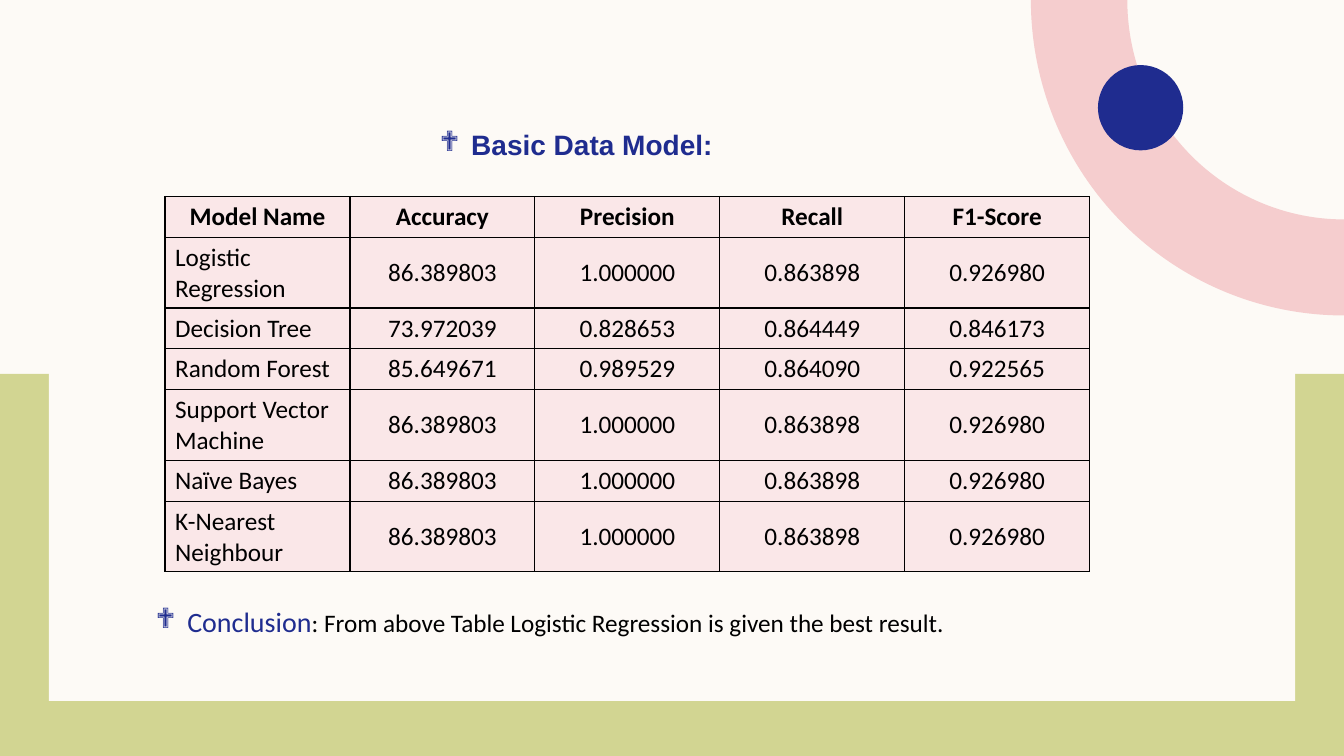
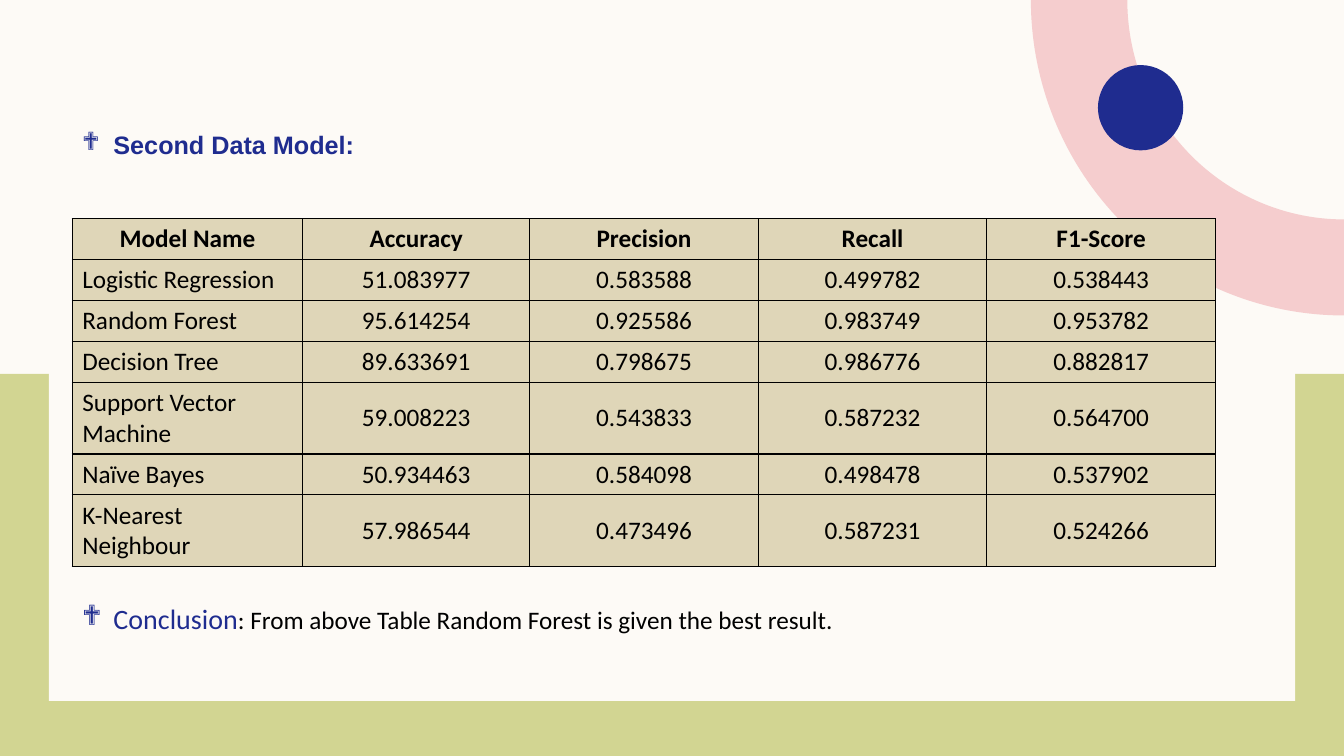
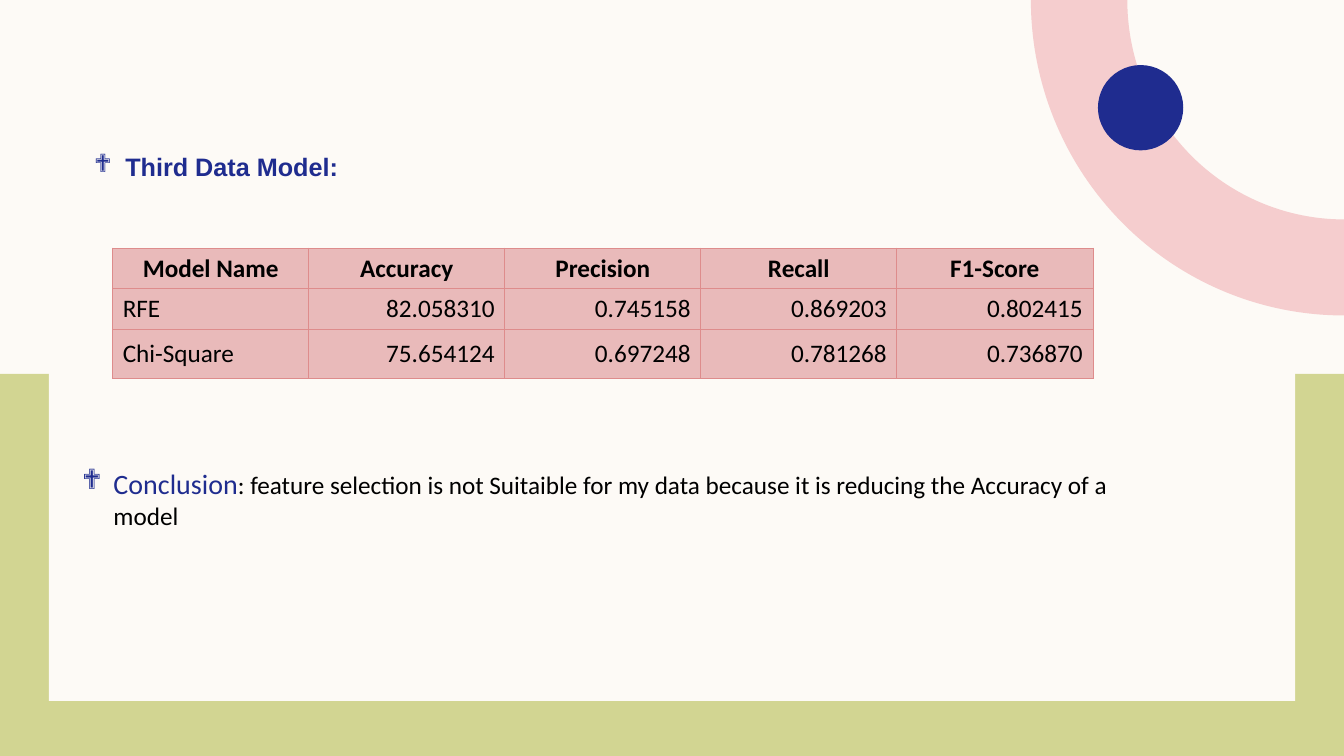
from dataclasses import dataclass

from lxml.etree import SubElement
from pptx import Presentation
from pptx.dml.color import RGBColor
from pptx.enum.shapes import MSO_SHAPE
from pptx.enum.text import MSO_ANCHOR, MSO_AUTO_SIZE, PP_ALIGN
from pptx.oxml.ns import qn
from pptx.shapes.base import BaseShape
from pptx.slide import Slide, SlideLayout
from pptx.table import _Cell
from pptx.text.text import _Paragraph, _Run
from pptx.util import Cm, Pt


@dataclass(frozen=True)
class Theme:
    page: str = "FDFAF6"
    olive: str = "D2D592"
    pink: str = "F5CDCE"
    navy: str = "1F2C8F"
    black: str = "000000"
    blush: str = "FAE7E8"
    sand: str = "DFD6B8"
    rose: str = "E9BABA"
    rose_line: str = "DE8C8C"
    title_font: str = "Arial"
    body_font: str = "Calibri"
    bullet_font: str = "Wingdings"
    body_size: int = 18
    large_size: int = 20


@dataclass(frozen=True)
class Area:
    left: float
    top: float
    width: float
    height: float

    def lengths(self) -> tuple[Cm, Cm, Cm, Cm]:
        return Cm(self.left), Cm(self.top), Cm(self.width), Cm(self.height)


@dataclass(frozen=True)
class Radii:
    across: float
    down: float


@dataclass(frozen=True)
class Span:
    text: str
    size: int
    font: str
    color: str
    bold: bool = False


@dataclass(frozen=True)
class BulletLine:
    area: Area
    spans: tuple[Span, ...]
    align: PP_ALIGN = PP_ALIGN.LEFT


@dataclass(frozen=True)
class ScoreTable:
    left: float
    top: float
    widths: tuple[float, ...]
    heights: tuple[float, ...]
    rows: tuple[tuple[str, ...], ...]
    fill: str
    line: str
    line_width: float = 1
    number_align: PP_ALIGN = PP_ALIGN.CENTER


@dataclass(frozen=True)
class ModelPage:
    title: BulletLine
    scores: ScoreTable
    conclusion: BulletLine


THEME = Theme()
PAGE_WIDTH, PAGE_HEIGHT = 33.87, 19.05
BULLET_INDENT = 0.79
QUARTER_TURN = 90 * 60000
HEADER = ("Model Name", "Accuracy", "Precision", "Recall", "F1-Score")


def title_line(text: str, area: Area, size: int = THEME.body_size,
               align: PP_ALIGN = PP_ALIGN.LEFT) -> BulletLine:
    return BulletLine(area, (Span(text, size, THEME.title_font, THEME.navy, True),), align)


def conclusion_line(text: str, area: Area) -> BulletLine:
    return BulletLine(area, (
        Span("Conclusion", THEME.large_size, THEME.body_font, THEME.navy),
        Span(f": {text}", THEME.body_size, THEME.body_font, THEME.black),
    ))


PAGES = (
    ModelPage(
        title_line("Basic Data Model:", Area(3.68, 3.1, 21.69, 1.13),
                   THEME.large_size, PP_ALIGN.CENTER),
        ScoreTable(
            4.16, 4.95, (4.66,) * 5, (1.03, 1.78, 1.03, 1.03, 1.78, 1.03, 1.78),
            (
                ("Logistic Regression", "86.389803", "1.000000", "0.863898", "0.926980"),
                ("Decision Tree", "73.972039", "0.828653", "0.864449", "0.846173"),
                ("Random Forest", "85.649671", "0.989529", "0.864090", "0.922565"),
                ("Support Vector Machine", "86.389803", "1.000000", "0.863898", "0.926980"),
                ("Naïve Bayes", "86.389803", "1.000000", "0.863898", "0.926980"),
                ("K-Nearest Neighbour", "86.389803", "1.000000", "0.863898", "0.926980"),
            ),
            THEME.blush, THEME.black,
        ),
        conclusion_line("From above Table Logistic Regression is given the best result.",
                        Area(3.68, 15.11, 22.12, 1.13)),
    ),
    ModelPage(
        title_line("Second Data Model:", Area(1.82, 3.14, 16.97, 1.02)),
        ScoreTable(
            1.82, 5.51, (5.81, 5.72, 5.76, 5.76, 5.76),
            (1.03, 1.03, 1.03, 1.03, 1.81, 1.03, 1.81),
            (
                ("Logistic Regression", "51.083977", "0.583588", "0.499782", "0.538443"),
                ("Random Forest", "95.614254", "0.925586", "0.983749", "0.953782"),
                ("Decision Tree", "89.633691", "0.798675", "0.986776", "0.882817"),
                ("Support Vector Machine", "59.008223", "0.543833", "0.587232", "0.564700"),
                ("Naïve Bayes", "50.934463", "0.584098", "0.498478", "0.537902"),
                ("K-Nearest Neighbour", "57.986544", "0.473496", "0.587231", "0.524266"),
            ),
            THEME.sand, THEME.black,
        ),
        conclusion_line("From above Table Random Forest is given the best result.",
                        Area(1.82, 15.04, 21.64, 1.13)),
    ),
    ModelPage(
        title_line("Third Data Model:", Area(2.12, 3.69, 16.97, 1.02)),
        ScoreTable(
            2.84, 6.25, (4.94,) * 5, (1.02, 1.02, 1.24),
            (
                ("RFE", "82.058310", "0.745158", "0.869203", "0.802415"),
                ("Chi-Square", "75.654124", "0.697248", "0.781268", "0.736870"),
            ),
            THEME.rose, THEME.rose_line, 0.5, PP_ALIGN.RIGHT,
        ),
        conclusion_line("feature selection is not Suitaible for my data because "
                        "it is reducing the Accuracy of a model",
                        Area(1.82, 11.63, 27.18, 1.88)),
    ),
)


def paint(shape: BaseShape, color: str) -> None:
    shape.shadow.inherit = False
    shape.fill.solid()
    shape.fill.fore_color.rgb = RGBColor.from_string(color)
    shape.line.fill.background()


def add_block(page: Slide, kind: MSO_SHAPE, area: Area, color: str) -> None:
    paint(page.shapes.add_shape(kind, *area.lengths()), color)


def bend_segment(shape: BaseShape, index: int, radii: Radii, start: int, sweep: int) -> None:
    segment = list(shape.element.iter(qn("a:lnTo")))[index]
    arc = SubElement(segment.getparent(), qn("a:arcTo"))
    arc.set("wR", str(Cm(radii.across)))
    arc.set("hR", str(Cm(radii.down)))
    arc.set("stAng", str(start))
    arc.set("swAng", str(sweep))
    segment.getparent().replace(segment, arc)


def add_corner_band(page: Slide, outer: Radii, inner: Radii, color: str) -> None:
    points = [
        (Cm(PAGE_WIDTH - outer.across), Cm(0)),
        (Cm(PAGE_WIDTH), Cm(outer.down)),
        (Cm(PAGE_WIDTH), Cm(inner.down)),
        (Cm(PAGE_WIDTH - inner.across), Cm(0)),
    ]
    builder = page.shapes.build_freeform(*points[0])
    builder.add_line_segments(points[1:], close=True)
    band = builder.convert_to_shape()
    if inner.across:
        bend_segment(band, 2, inner, QUARTER_TURN, QUARTER_TURN)
    bend_segment(band, 0, outer, 2 * QUARTER_TURN, -QUARTER_TURN)
    paint(band, color)


def decorate_layout(layout: SlideLayout, page: Slide) -> None:
    for placeholder in list(layout.placeholders):
        layout.shapes.element.remove(placeholder.element)
    layout.background.fill.solid()
    layout.background.fill.fore_color.rgb = RGBColor.from_string(THEME.page)
    add_block(page, MSO_SHAPE.RECTANGLE, Area(0, 9.42, PAGE_WIDTH, 9.63), THEME.olive)
    add_block(page, MSO_SHAPE.RECTANGLE, Area(1.23, 0.91, 31.41, 16.75), THEME.page)
    add_corner_band(page, Radii(7.89, 7.95), Radii(5.46, 5.53), THEME.pink)
    add_corner_band(page, Radii(2.78, 2.82), Radii(0, 0), THEME.page)
    add_block(page, MSO_SHAPE.OVAL, Area(27.67, 1.64, 2.15, 2.15), THEME.navy)
    for shape in list(page.shapes):
        layout.shapes.element.append(shape.element)


def format_run(run: _Run, span: Span) -> None:
    run.font.size = Pt(span.size)
    run.font.name = span.font
    run.font.bold = span.bold
    run.font.color.rgb = RGBColor.from_string(span.color)


def add_bullet(para: _Paragraph) -> None:
    properties = para._p.get_or_add_pPr()
    properties.set("marL", str(Cm(BULLET_INDENT)))
    properties.set("indent", str(-Cm(BULLET_INDENT)))
    SubElement(properties, qn("a:buFont"), typeface=THEME.bullet_font)
    SubElement(properties, qn("a:buChar"), char="❖")


def add_bullet_line(page: Slide, line: BulletLine) -> None:
    box = page.shapes.add_textbox(*line.area.lengths())
    box.text_frame.word_wrap = True
    box.text_frame.auto_size = MSO_AUTO_SIZE.SHAPE_TO_FIT_TEXT
    para = box.text_frame.paragraphs[0]
    para.alignment = line.align
    add_bullet(para)
    for span in line.spans:
        run = para.add_run()
        run.text = span.text
        format_run(run, span)


def outline_cell(cell: _Cell, color: str, width: float) -> None:
    properties = cell._tc.get_or_add_tcPr()
    for side in ("lnL", "lnR", "lnT", "lnB"):
        border = SubElement(properties, qn(f"a:{side}"), w=str(Pt(width)))
        fill = SubElement(border, qn("a:solidFill"))
        SubElement(fill, qn("a:srgbClr"), val=color)


def fill_cell(cell: _Cell, text: str, align: PP_ALIGN, bold: bool, scores: ScoreTable) -> None:
    outline_cell(cell, scores.line, scores.line_width)
    cell.fill.solid()
    cell.fill.fore_color.rgb = RGBColor.from_string(scores.fill)
    cell.vertical_anchor = MSO_ANCHOR.MIDDLE
    para = cell.text_frame.paragraphs[0]
    para.text = text
    para.alignment = align
    format_run(para.runs[0], Span(text, THEME.body_size, THEME.body_font, THEME.black, bold))


def add_scores(page: Slide, scores: ScoreTable) -> None:
    area = Area(scores.left, scores.top, sum(scores.widths), sum(scores.heights))
    rows = (HEADER, *scores.rows)
    table = page.shapes.add_table(len(rows), len(HEADER), *area.lengths()).table
    table.first_row = False
    table.horz_banding = False
    for column, width in zip(table.columns, scores.widths):
        column.width = Cm(width)
    for row, height in zip(table.rows, scores.heights):
        row.height = Cm(height)
    for row_index, texts in enumerate(rows):
        for column_index, text in enumerate(texts):
            is_header = row_index == 0
            if is_header:
                align = PP_ALIGN.CENTER
            else:
                align = scores.number_align if column_index else PP_ALIGN.LEFT
            fill_cell(table.cell(row_index, column_index), text, align, is_header, scores)


def main() -> None:
    deck = Presentation()
    deck.slide_width = Cm(PAGE_WIDTH)
    deck.slide_height = Cm(PAGE_HEIGHT)
    blank = deck.slide_layouts[6]
    pages = [deck.slides.add_slide(blank) for _ in PAGES]
    decorate_layout(blank, pages[0])
    for page, content in zip(pages, PAGES):
        add_bullet_line(page, content.title)
        add_scores(page, content.scores)
        add_bullet_line(page, content.conclusion)
    deck.save("out.pptx")


if __name__ == "__main__":
    main()
